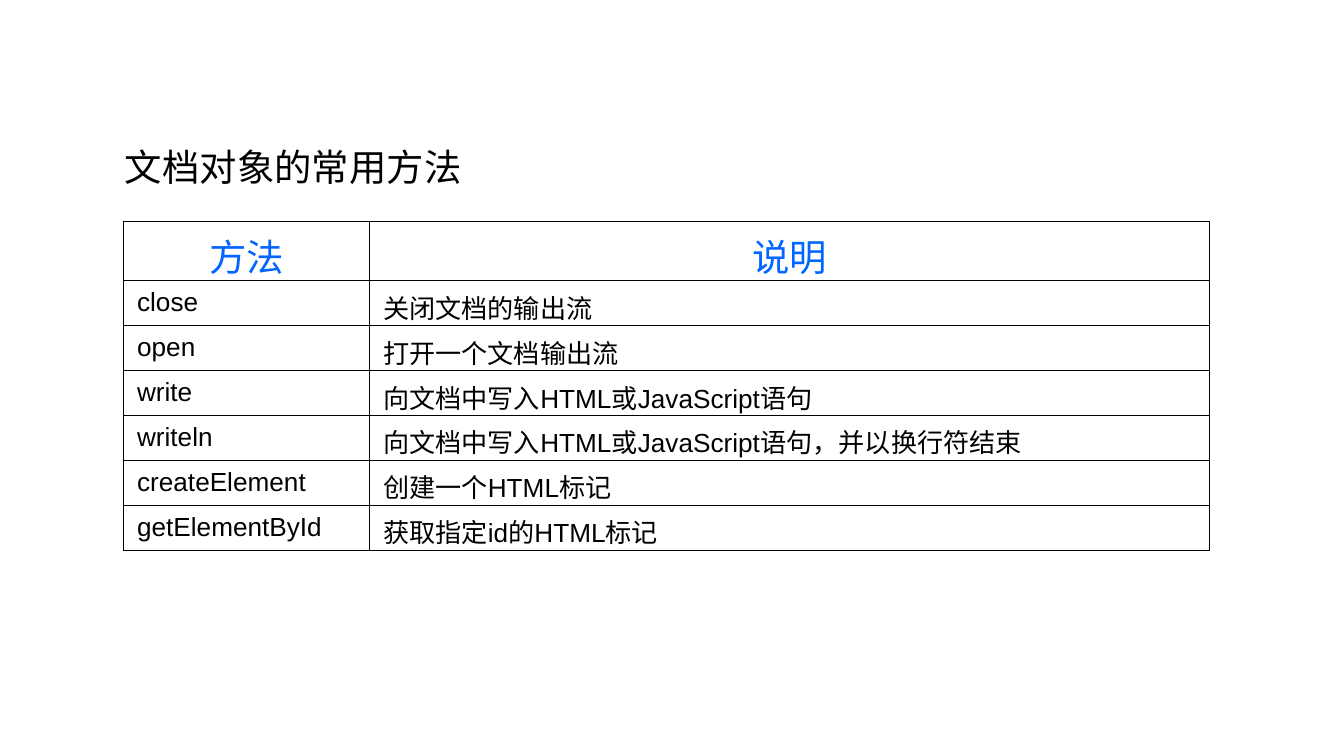
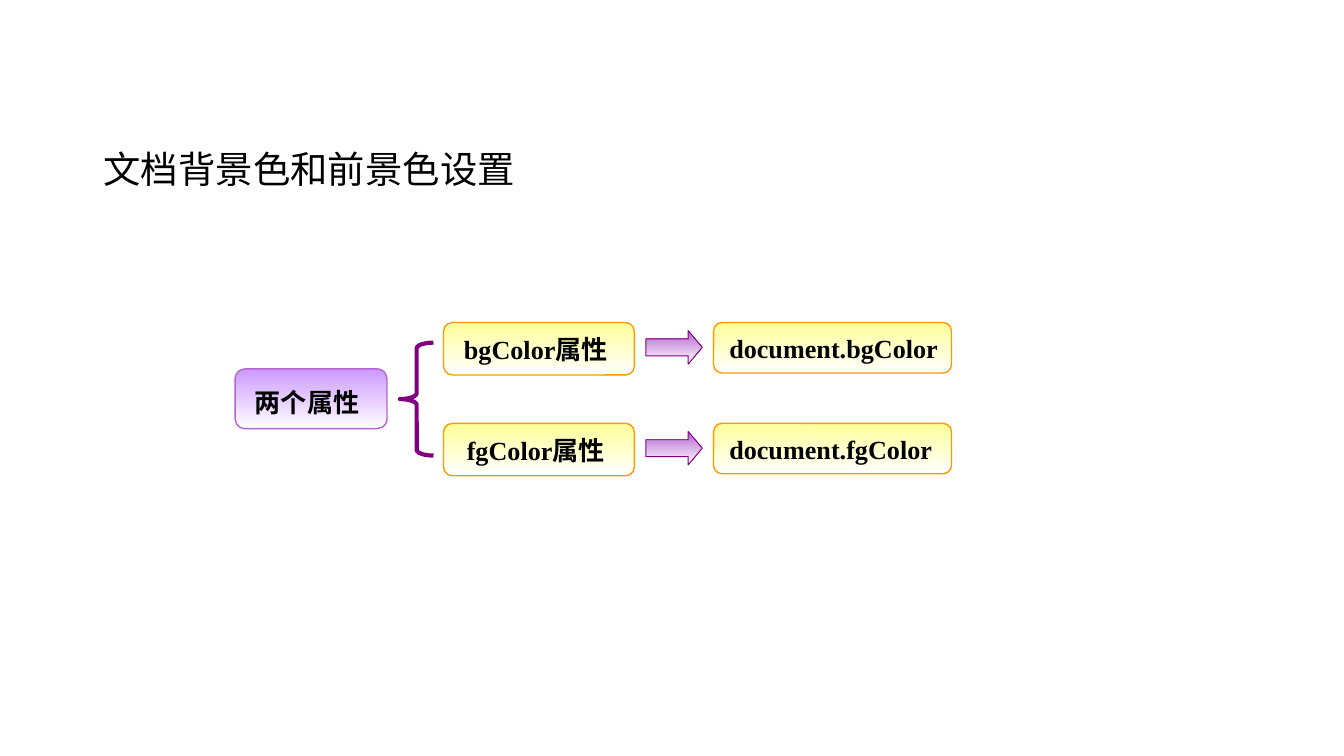
from pptx import Presentation
from pptx.dml.color import RGBColor
from pptx.enum.shapes import MSO_SHAPE
from pptx.enum.text import MSO_ANCHOR, MSO_AUTO_SIZE, PP_ALIGN
from pptx.oxml.ns import qn
from pptx.util import Pt
from lxml import etree

PX = 4572  # EMU per px, 200 px to the inch

BLACK = RGBColor(0x00, 0x00, 0x00)
WHITE = RGBColor(0xFF, 0xFF, 0xFF)
BLUE = RGBColor(0x00, 0x66, 0xFF)
LILAC = RGBColor(0xCC, 0x99, 0xFF)
VIOLET = RGBColor(0xB5, 0x63, 0xCF)
PURPLE = RGBColor(0x80, 0x00, 0x80)
YELLOW = RGBColor(0xFF, 0xFF, 0x99)
ORANGE = RGBColor(0xFF, 0x99, 0x00)

SERIF = "Times New Roman"
SANS = "Arial"

METHODS = [
    ("方法", "说明"),
    ("close", "关闭文档的输出流"),
    ("open", "打开一个文档输出流"),
    ("write", "向文档中写入HTML或JavaScript语句"),
    ("writeln", "向文档中写入HTML或JavaScript语句，并以换行符结束"),
    ("createElement", "创建一个HTML标记"),
    ("getElementById", "获取指定id的HTML标记"),
]
COL_WIDTHS = (366, 1250)
HEADER_HEIGHT, ROW_HEIGHT = 88, 67
OUTER, INNER = 0.75, 0.45  # table border widths in points


def px(*values):
    return [v * PX for v in values]


def write(tf, text, size=14, font=SERIF, color=BLACK, bold=False, align=PP_ALIGN.LEFT):
    """Add a run to the first paragraph of a text frame."""
    p = tf.paragraphs[0]
    p.alignment = align
    r = p.add_run()
    r.text = text
    r.font.size = Pt(size)
    r.font.name = font
    r.font.color.rgb = color
    r.font.bold = bold


def add_titled_slide(prs, text, x, y, w):
    slide = prs.slides.add_slide(prs.slide_layouts[5])
    title = slide.shapes.title
    title.left, title.top, title.width, title.height = px(x, y, w, 88)
    tf = title.text_frame
    tf.word_wrap = True
    tf.auto_size = MSO_AUTO_SIZE.SHAPE_TO_FIT_TEXT
    tf.vertical_anchor = MSO_ANCHOR.TOP
    write(tf, text, size=20)
    return slide


def set_borders(cell, **widths):
    tc_pr = cell._tc.get_or_add_tcPr()
    for side in "LRTB":
        ln = etree.SubElement(tc_pr, qn(f"a:ln{side}"), w=str(Pt(widths[side])))
        fill = etree.SubElement(ln, qn("a:solidFill"))
        etree.SubElement(fill, qn("a:srgbClr"), val=str(BLACK))


def add_method_table(slide, x, y):
    n_rows, n_cols = len(METHODS), len(COL_WIDTHS)
    heights = [HEADER_HEIGHT] + [ROW_HEIGHT] * (n_rows - 1)
    frame = slide.shapes.add_table(
        n_rows, n_cols, *px(x, y, sum(COL_WIDTHS), sum(heights)))
    table = frame.table
    table.first_row = table.horz_banding = False
    for column, width in zip(table.columns, COL_WIDTHS):
        column.width = width * PX
    for i, (row, height) in enumerate(zip(table.rows, heights)):
        row.height = height * PX
        for j, text in enumerate(METHODS[i]):
            cell = table.cell(i, j)
            set_borders(cell,
                        L=OUTER if j == 0 else INNER,
                        R=OUTER if j == n_cols - 1 else INNER,
                        T=OUTER if i == 0 else INNER,
                        B=OUTER if i == n_rows - 1 else INNER)
            cell.fill.background()
            if i == 0:
                cell.vertical_anchor = MSO_ANCHOR.MIDDLE
                write(cell.text_frame, text, size=20, font=SANS, color=BLUE,
                      align=PP_ALIGN.CENTER)
            else:
                write(cell.text_frame, text, font=SANS)


def add_outline(slide, kind, x, y, w, h, line, width):
    sp = slide.shapes.add_shape(kind, *px(x, y, w, h))
    sp.shadow.inherit = False
    sp.fill.background()
    sp.line.color.rgb = line
    sp.line.width = Pt(width)
    return sp


def fade_to_white(sp, color):
    sp.fill.gradient()
    sp.fill.gradient_angle = 270
    for stop, rgb in zip(sp.fill.gradient_stops, (color, WHITE)):
        stop.color.rgb = rgb


def add_label(slide, text, x, y, w, h, fill=YELLOW, line=ORANGE, align=PP_ALIGN.CENTER):
    sp = add_outline(slide, MSO_SHAPE.ROUNDED_RECTANGLE, x, y, w, h, line, 0.75)
    fade_to_white(sp, fill)
    tf = sp.text_frame
    tf.word_wrap = False
    tf.vertical_anchor = MSO_ANCHOR.MIDDLE
    write(tf, text, bold=True, align=align)
    return sp


def add_arrow(slide, x, y, w, h):
    sp = add_outline(slide, MSO_SHAPE.RIGHT_ARROW, x, y, w, h, PURPLE, 0.5)
    sp.adjustments[1] = 0.42
    fade_to_white(sp, VIOLET)


def add_brace(slide, x, y, w, h):
    sp = add_outline(slide, MSO_SHAPE.LEFT_BRACE, x, y, w, h, PURPLE, 2.25)
    sp.adjustments[0] = 0.17


def main():
    prs = Presentation()
    prs.slide_width, prs.slide_height = px(2000, 1125)

    # Methods of the document object
    slide = add_titled_slide(prs, "文档对象的常用方法", 166, 204, 950)
    add_method_table(slide, 184, 330)

    # Background and foreground colour
    slide = add_titled_slide(prs, "文档背景色和前景色设置", 134, 208, 666)
    root = add_label(slide, "两个属性", 350, 549, 226, 89, fill=LILAC, line=VIOLET)
    write(root.text_frame, " ", size=18, font=SANS, bold=True, align=PP_ALIGN.CENTER)
    add_brace(slide, 595, 510, 50, 168)
    for i, name in enumerate(("bgColor", "fgColor")):
        y = 480 + 150 * i
        add_label(slide, f"{name}属性 ", 660, y, 284, 78)
        add_arrow(slide, 961, y + 12, 84, 50)
        add_label(slide, f"document.{name}", 1062, y, 354, 75, align=PP_ALIGN.LEFT)

    prs.save("out.pptx")


if __name__ == "__main__":
    main()
